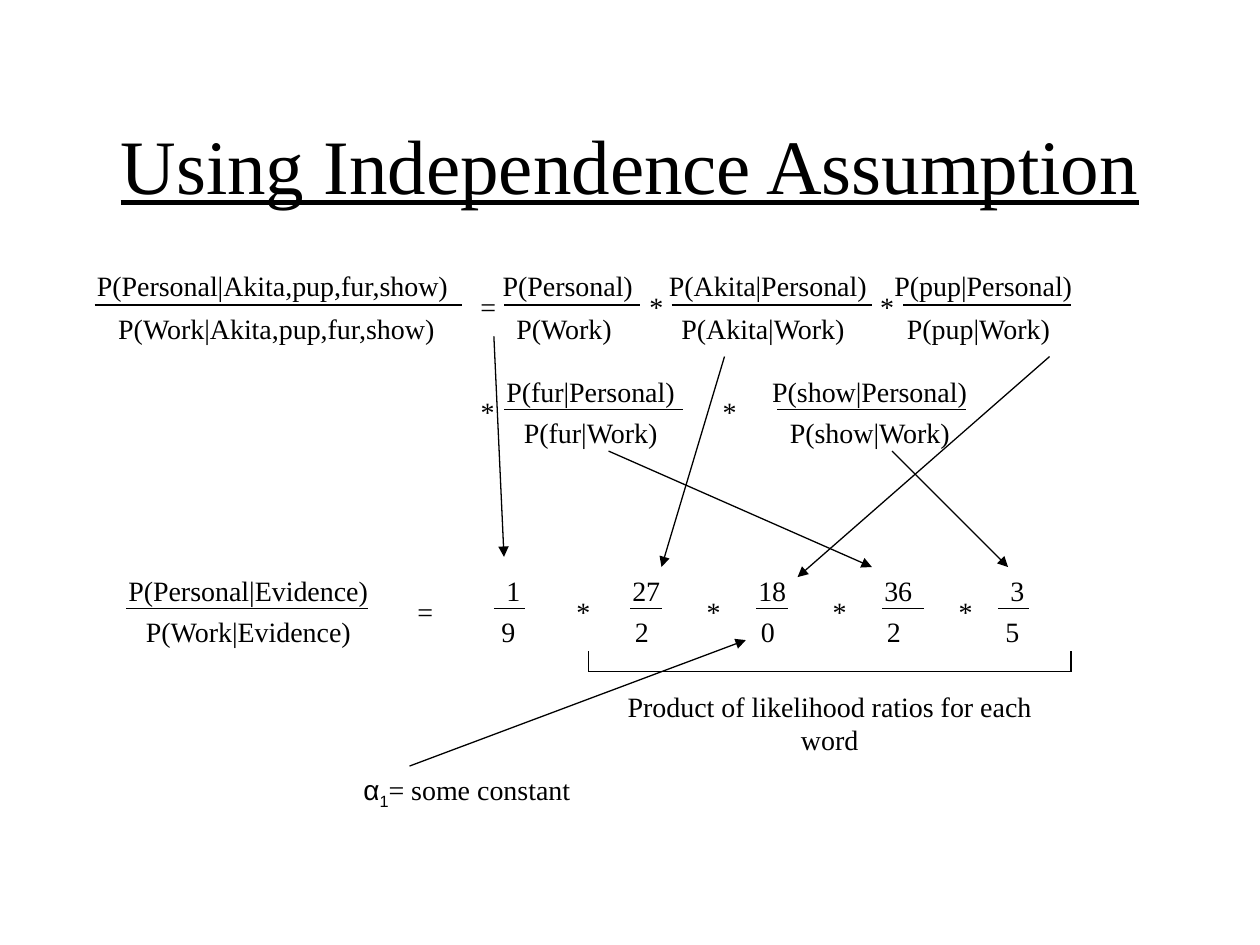
from dataclasses import dataclass
from itertools import pairwise

from lxml import etree
from pptx import Presentation
from pptx.dml.color import RGBColor
from pptx.enum.shapes import MSO_CONNECTOR
from pptx.enum.text import MSO_ANCHOR, MSO_AUTO_SIZE, PP_ALIGN
from pptx.oxml.ns import qn
from pptx.util import Inches, Pt

STRAIGHT = MSO_CONNECTOR.STRAIGHT
LEFT, CENTER = PP_ALIGN.LEFT, PP_ALIGN.CENTER
MIDDLE = MSO_ANCHOR.MIDDLE
GROW = MSO_AUTO_SIZE.SHAPE_TO_FIT_TEXT


@dataclass(frozen=True)
class Theme:
    ink: RGBColor = RGBColor(0, 0, 0)
    paper: RGBColor = RGBColor(255, 255, 255)
    font: str = "Times New Roman"
    symbol_font: str = "Arial"
    title_size: float = 44
    body_size: float = 16
    line_width: float = 0.75
    inset: float = 0.1
    row_height: float = 0.37


class FormulaSlide:
    def __init__(self, slide, theme):
        self.slide = slide
        self.theme = theme
        fill = slide.background.fill
        fill.solid()
        fill.fore_color.rgb = theme.paper

    def style(self, run, size=None, font=None):
        run.font.name = font or self.theme.font
        run.font.size = Pt(size or self.theme.body_size)
        run.font.color.rgb = self.theme.ink

    def text(self, content, left, top, width, height=None, align=CENTER, size=None):
        box = self.slide.shapes.add_textbox(
            Inches(left), Inches(top), Inches(width),
            Inches(height or self.theme.row_height))
        frame = box.text_frame
        frame.word_wrap = True
        frame.auto_size = GROW
        frame.text = content
        paragraph = frame.paragraphs[0]
        paragraph.alignment = align
        for run in paragraph.runs:
            self.style(run, size)
        return frame

    def title(self, content, left, top, width, height):
        frame = self.text(content, left, top, width, height,
                          size=self.theme.title_size)
        frame.auto_size = MSO_AUTO_SIZE.NONE
        frame.vertical_anchor = MIDDLE
        frame.paragraphs[0].runs[0].font.underline = True

    def term_row(self, left, top, width, terms):
        """Terms are (x, text); any term right of the text edge gets a tab stop."""
        edge = left + self.theme.inset
        content = "".join(("\t" if x > edge + 0.01 else "") + term
                          for x, term in terms)
        frame = self.text(content, left, top, width, align=LEFT)
        tabs = etree.SubElement(frame.paragraphs[0]._p.get_or_add_pPr(),
                                qn("a:tabLst"))
        for x, _ in terms:
            if x > edge + 0.01:
                etree.SubElement(tabs, qn("a:tab"),
                                 pos=str(Inches(x - edge)), algn="l")

    def line(self, start, end, arrow=False):
        connector = self.slide.shapes.add_connector(
            STRAIGHT, *map(Inches, (*start, *end)))
        connector.line.color.rgb = self.theme.ink
        connector.line.width = Pt(self.theme.line_width)
        if arrow:
            etree.SubElement(connector.line._get_or_add_ln(),
                             qn("a:tailEnd"), type="triangle")
        etree.SubElement(connector._element.spPr, qn("a:effectLst"))

    def constant_note(self, symbol, index, meaning, left, top, width, height):
        frame = self.text(symbol, left, top, width, height)
        paragraph = frame.paragraphs[0]
        self.style(paragraph.runs[0], font=self.theme.symbol_font)
        subscript = paragraph.add_run()
        subscript.text = index
        self.style(subscript, font=self.theme.symbol_font)
        subscript._r.get_or_add_rPr().set("baseline", "-25000")
        explanation = paragraph.add_run()
        explanation.text = meaning
        self.style(explanation)


def main():
    deck = Presentation()
    deck.slide_width, deck.slide_height = Inches(10), Inches(7.5)
    page = FormulaSlide(deck.slides.add_slide(deck.slide_layouts[6]), Theme())

    page.title("Using Independence Assumption", 0.75, 0.67, 8.5, 1.25)

    # Numerator and denominator rows: left, top, width, terms
    term_rows = [
        (0.67, 2.08, 8.58, [(0.77, "P(Personal|Akita,pup,fur,show)"),
                            (3.99, "P(Personal)"), (5.31, "P(Akita|Personal)"),
                            (7.1, "P(pup|Personal)")]),
        (0.67, 2.42, 8.67, [(0.94, "P(Work|Akita,pup,fur,show)"),
                            (4.1, "P(Work)"), (5.41, "P(Akita|Work)"),
                            (7.2, "P(pup|Work)")]),
        (3.92, 2.92, 4.83, [(4.02, "P(fur|Personal)"),
                            (6.13, "P(show|Personal)")]),
        (4, 3.25, 4.5, [(4.16, "P(fur|Work)"), (6.27, "P(show|Work)")]),
        (0.92, 4.5, 7.67, [(1.02, "P(Personal|Evidence)"), (4.02, "1"),
                           (5.02, "27"), (6.02, "18"), (7.02, "36"),
                           (8.02, "3")]),
        (0.83, 4.83, 7.58, [(1.16, "P(Work|Evidence)"), (3.98, "9"),
                            (5.04, "2"), (6.04, "0"), (7.04, "2"),
                            (7.98, "5")]),
    ]
    for row in term_rows:
        page.term_row(*row)

    # Fraction bars by height: start and end of each bar
    fraction_bars = {
        2.42: [(0.75, 3.67), (4, 5.08), (5.33, 6.92), (7.17, 8.5)],
        3.25: [(4, 5.42), (6.17, 7.67)],
        4.83: [(1, 2.92), (3.92, 4.17), (5, 5.25), (6, 6.25), (7, 7.33),
               (7.92, 8.17)],
    }
    for y, bars in fraction_bars.items():
        for start, end in bars:
            page.line((start, y), (end, y))

    # Operators by row top: sign, left, width
    operators = {
        2.25: [("=", 3.5, 0.75), ("*", 4.5, 1.42), ("*", 6.58, 0.92)],
        3.08: [("*", 3.33, 1.08), ("*", 5.33, 0.92)],
        4.67: [("=", 3, 0.75), ("*", 4.17, 0.92), ("*", 5.08, 1.17),
               ("*", 6.08, 1.17), ("*", 7.08, 1.17)],
    }
    for top, signs in operators.items():
        for sign, left, width in signs:
            page.text(sign, left, top, width)

    # Arrows from each factor to its value, and from the constant to the zero
    arrows = [
        ((4.83, 3.58), (6.92, 4.5)),
        ((7.08, 3.58), (8, 4.5)),
        ((8.33, 2.83), (6.33, 4.58)),
        ((5.75, 2.83), (5.25, 4.5)),
        ((3.92, 2.67), (4, 4.42)),
        ((3.25, 6.08), (5.92, 5.08)),
    ]
    for start, end in arrows:
        page.line(start, end, arrow=True)

    # Bracket under the likelihood ratios
    bracket = [(4.67, 5.17), (4.67, 5.33), (8.5, 5.33), (8.5, 5.17)]
    for start, end in pairwise(bracket):
        page.line(start, end)

    # Explanations
    page.text("Product of likelihood ratios for each word", 4.67, 5.42, 3.83, 0.64)
    page.constant_note("α", "1", "= some constant", 2.58, 6.08, 2.25, 0.41)

    deck.save("out.pptx")


if __name__ == "__main__":
    main()
